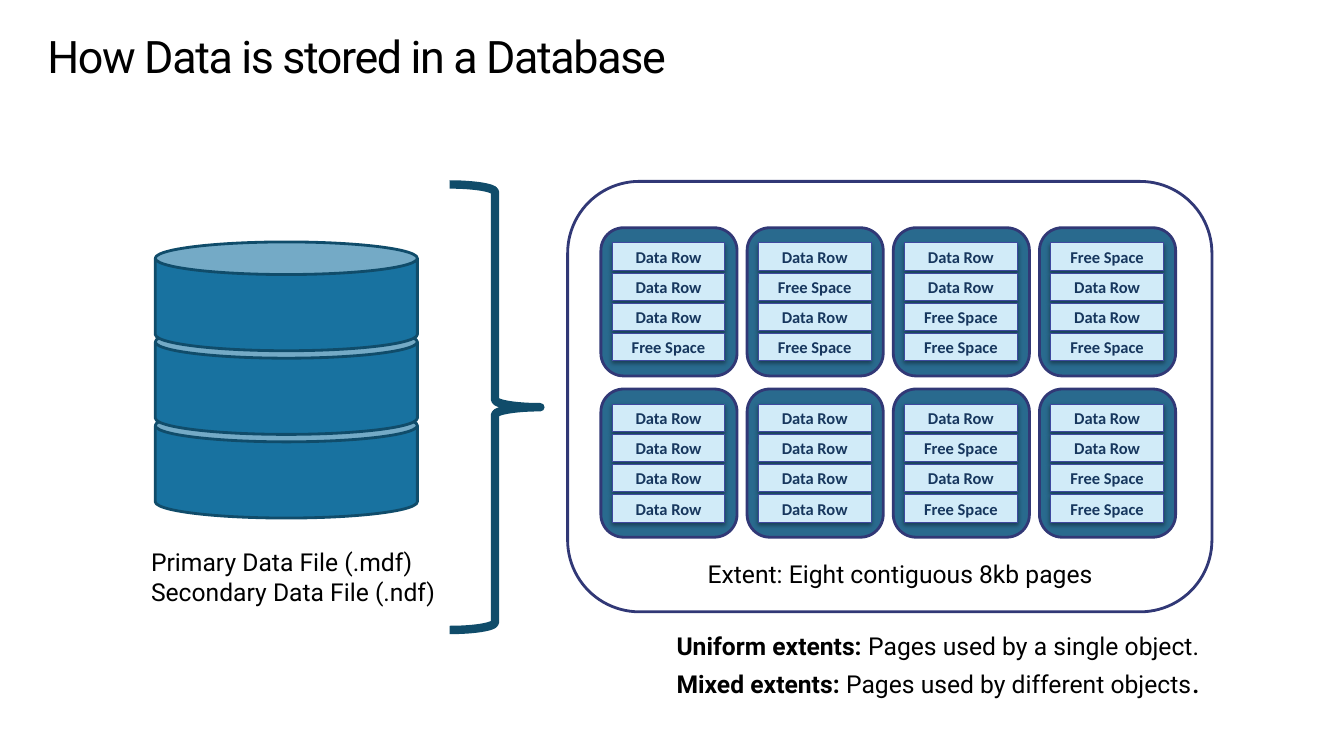
from dataclasses import dataclass

from lxml.etree import SubElement as Sub
from pptx import Presentation
from pptx.dml.color import RGBColor as Rgb
from pptx.enum.shapes import MSO_SHAPE as Kind
from pptx.enum.text import MSO_ANCHOR as Anchor, MSO_AUTO_SIZE as Fit, PP_ALIGN as Align
from pptx.oxml.ns import qn
from pptx.shapes.autoshape import Shape
from pptx.slide import Slide
from pptx.text.text import TextFrame
from pptx.util import Inches, Pt


@dataclass(frozen=True)
class Theme:
    sans: str = "Roboto"
    label: str = "Calibri"
    head: float = 32
    body: float = 17.6
    stop: float = 23.5
    small: float = 11.8
    black: str = "000000"
    white: str = "FFFFFF"
    navy: str = "313876"
    teal: str = "296A8E"
    pale: str = "D1EBF8"
    edge: str = "3E499F"
    ink: str = "17375E"
    blue: str = "1872A0"
    deep: str = "104C6A"


@dataclass(frozen=True)
class Box:
    left: float
    top: float
    width: float
    height: float


@dataclass(frozen=True)
class Run:
    text: str
    bold: bool = False
    size: float = Theme.body
    font: str = Theme.sans
    color: str = Theme.black


@dataclass(frozen=True)
class Page:
    col: int
    band: int
    rows: str


ROWS = {"D": "Data Row", "F": "Free Space"}
BANDS = (("DDDF", "DFDF", "DDFF", "FDDF"), ("DDDD", "DDDD", "DFDF", "DDFF"))
PAGES = [
    Page(col, band, rows)
    for band, group in enumerate(BANDS)
    for col, rows in enumerate(group)
]


def place(shape, box: Box) -> None:
    shape.left, shape.top = Inches(box.left), Inches(box.top)
    shape.width, shape.height = Inches(box.width), Inches(box.height)


def write(frame: TextFrame, lines: list[list[Run]]) -> None:
    frame.word_wrap = True
    for num, line in enumerate(lines):
        para = frame.paragraphs[0] if num == 0 else frame.add_paragraph()
        para.space_before = Pt(0)
        for part in line:
            run = para.add_run()
            run.text = part.text
            run.font.name = part.font
            run.font.size = Pt(part.size)
            run.font.bold = part.bold
            run.font.color.rgb = Rgb.from_string(part.color)


def draw(shapes, kind: Kind, box: Box, fill: str | None, line: str, width: float) -> Shape:
    shape = shapes.add_shape(kind, 0, 0, 0, 0)
    place(shape, box)
    shape.shadow.inherit = False
    if fill:
        shape.fill.solid()
        shape.fill.fore_color.rgb = Rgb.from_string(fill)
    else:
        shape.fill.background()
    shape.line.color.rgb = Rgb.from_string(line)
    shape.line.width = Pt(width)
    return shape


def note(shapes, box: Box, lines: list[list[Run]]) -> None:
    text = shapes.add_textbox(0, 0, 0, 0)
    place(text, box)
    write(text.text_frame, lines)


def shade(shape: Shape) -> None:
    glow = Sub(
        shape.element.spPr.find(qn("a:effectLst")), qn("a:outerShdw"),
        blurRad=str(Pt(3.1)), dist=str(Pt(1.6)), dir="5400000", rotWithShape="0",
    )
    tint = Sub(glow, qn("a:srgbClr"), val=Theme.black)
    Sub(tint, qn("a:alpha"), val="38000")


def draw_page(shapes, page: Page) -> None:
    left, top = 5.96 + 1.45 * page.col, 2.26 + 1.6 * page.band
    draw(shapes, Kind.ROUNDED_RECTANGLE, Box(left, top, 1.35, 1.47), Theme.teal, Theme.navy, 2)
    for num, code in enumerate(page.rows):
        box = Box(left + 0.11, top + 0.15 + 0.3 * num, 1.12, 0.27)
        row = draw(shapes, Kind.RECTANGLE, box, Theme.pale, Theme.edge, 0.75)
        shade(row)
        frame = row.text_frame
        frame.margin_left = frame.margin_right = Inches(0.07)
        frame.margin_top = frame.margin_bottom = Inches(0.04)
        frame.vertical_anchor = Anchor.MIDDLE
        write(frame, [[Run(ROWS[code], True, Theme.small, Theme.label, Theme.ink)]])
        frame.paragraphs[0].alignment = Align.CENTER


def draw_title(slide: Slide) -> None:
    title = slide.shapes.title
    place(title, Box(0.31, 0.24, 12.75, 0.98))
    frame = title.text_frame
    frame.auto_size = Fit.NONE
    frame.vertical_anchor = Anchor.TOP
    frame.margin_left = frame.margin_right = Inches(0.16)
    frame.margin_top = frame.margin_bottom = Inches(0.1)
    write(frame, [[Run("How Data is stored in a Database", size=Theme.head)]])
    para = frame.paragraphs[0]
    para.alignment = Align.LEFT
    para.line_spacing = 0.9
    para.runs[0].font._element.set("spc", "-100")


def draw_terms(slide: Slide) -> None:
    body = slide.placeholders[1]
    place(body, Box(6.61, 6.21, 6.64, 0.79))
    frame = body.text_frame
    frame.auto_size = Fit.NONE
    frame.vertical_anchor = Anchor.TOP
    write(frame, [
        [Run("Uniform extents: ", True), Run("Pages used by a single object.")],
        [
            Run("Mixed extents: ", True),
            Run("Pages used by different objects"),
            Run(".", size=Theme.stop),
        ],
    ])
    for para in frame.paragraphs:
        props = para._p.get_or_add_pPr()
        props.set("marL", "0")
        props.set("indent", "0")
        Sub(props, qn("a:buNone"))


def main() -> None:
    deck = Presentation()
    deck.slide_width, deck.slide_height = Inches(13.33), Inches(7.5)
    slide = deck.slides.add_slide(deck.slide_layouts[1])
    shapes = slide.shapes
    draw_title(slide)
    note(shapes, Box(1.4, 5.38, 3.2, 0.69), [
        [Run("Primary Data File (.mdf)")],
        [Run("Secondary Data File (.ndf)")],
    ])

    extent = shapes.add_group_shape().shapes
    frame = Box(5.63, 1.8, 6.39, 4.27)
    draw(extent, Kind.ROUNDED_RECTANGLE, frame, Theme.white, Theme.navy, 2)
    for page in PAGES:
        draw_page(extent, page)
    note(extent, Box(6.92, 5.5, 5.21, 0.4), [[Run("Extent: Eight contiguous 8kb pages")]])

    draw(shapes, Kind.RIGHT_BRACE, Box(4.46, 1.83, 0.9, 4.42), None, Theme.deep, 6)
    store = shapes.add_group_shape().shapes
    for num in range(3):
        box = Box(1.54, 4.06 - 0.83 * num, 2.6, 1.08)
        can = draw(store, Kind.CAN, box, Theme.blue, Theme.deep, 2)
        can.adjustments[0] = 0.3
    draw_terms(slide)
    deck.save("out.pptx")


if __name__ == "__main__":
    main()
